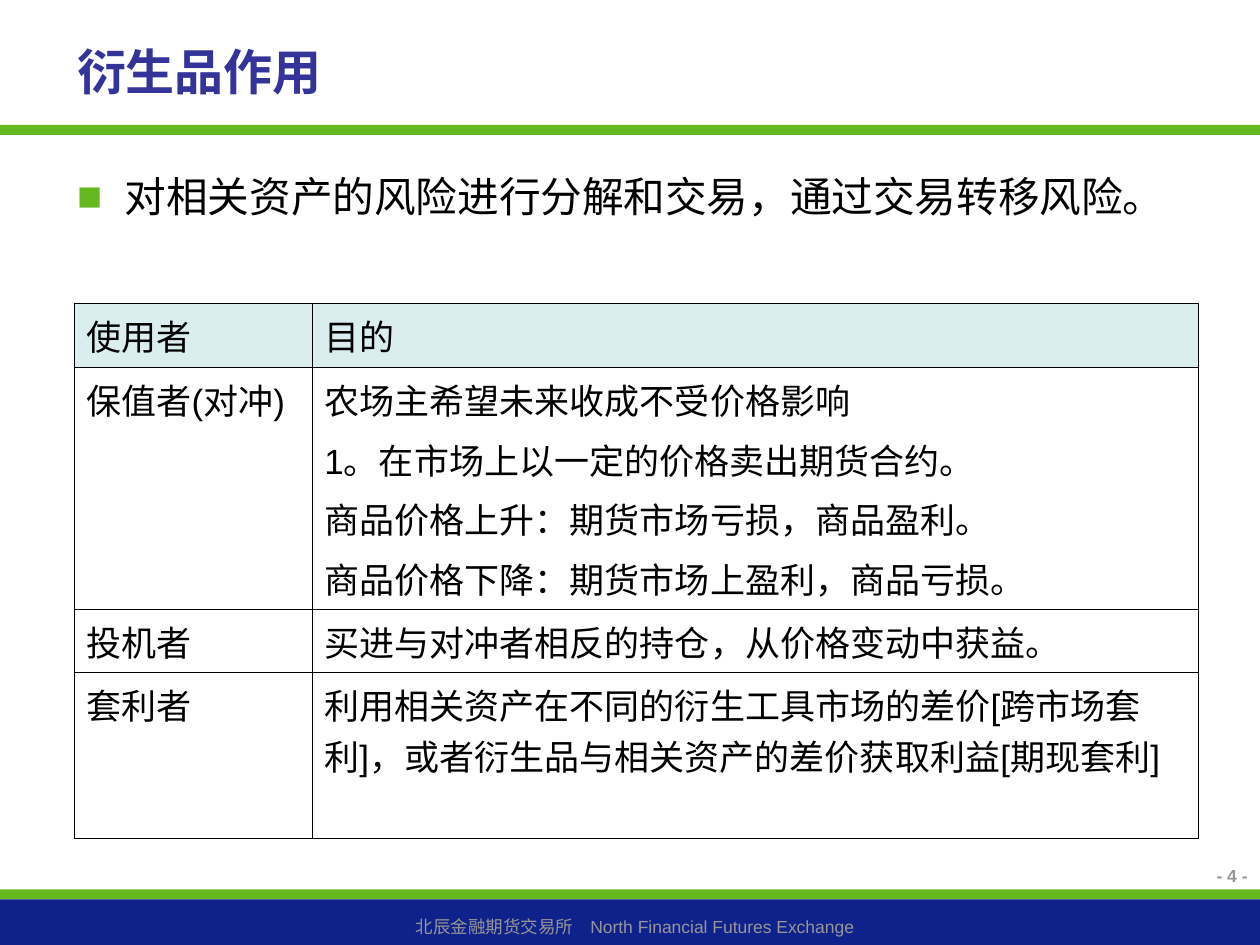
from dataclasses import dataclass

from lxml import etree
from pptx import Presentation
from pptx import util as u
from pptx.dml.color import RGBColor
from pptx.enum import shapes, text
from pptx.oxml.ns import qn


@dataclass(frozen=True)
class Theme:
    font: str = "Arial"
    green: str = "66B821"
    navy: str = "0F218B"
    heading: str = "333399"
    ink: str = "000000"
    muted: str = "969696"
    header_fill: str = "DAEDEF"
    title_size: float = 28
    body_size: float = 23.8
    table_size: float = 20
    small_size: float = 10
    outer_line: float = 1.08
    inner_line: float = 0.45


THEME = Theme()

USES = [
    ("使用者", "目的"),
    ("保值者(对冲)",
     "农场主希望未来收成不受价格影响\n"
     "1。在市场上以一定的价格卖出期货合约。\n"
     "商品价格上升：期货市场亏损，商品盈利。\n"
     "商品价格下降：期货市场上盈利，商品亏损。"),
    ("投机者", "买进与对冲者相反的持仓，从价格变动中获益。"),
    ("套利者",
     "利用相关资产在不同的衍生工具市场的差价[跨市场套利]，"
     "或者衍生品与相关资产的差价获取利益[期现套利]"),
]


def place(shape, left, top, width, height):
    shape.left, shape.top = u.Cm(left), u.Cm(top)
    shape.width, shape.height = u.Cm(width), u.Cm(height)


def write(frame, words, size, color, bold=False,
          align=text.PP_ALIGN.LEFT, gap=0):
    frame.text = words
    for index, paragraph in enumerate(frame.paragraphs):
        paragraph.alignment = align
        paragraph.space_before = u.Pt(gap if index else 0)
        for run in paragraph.runs:
            run.font.name = THEME.font
            run.font.size = u.Pt(size)
            run.font.bold = bold
            run.font.color.rgb = RGBColor.from_string(color)


def add_band(slide, top, height, color):
    band = slide.shapes.add_shape(
        shapes.MSO_SHAPE.RECTANGLE, 0, u.Cm(top), u.Cm(25.4), u.Cm(height))
    band.shadow.inherit = False
    band.fill.solid()
    band.fill.fore_color.rgb = RGBColor.from_string(color)
    band.line.fill.background()


def add_small_text(slide, words, box, align, bold=False):
    label = slide.shapes.add_textbox(*map(u.Cm, box))
    label.text_frame.word_wrap = True
    write(label.text_frame, words, THEME.small_size, THEME.muted, bold, align)


def fill_title(slide, words):
    title = slide.shapes.title
    place(title, 1.3, 0.53, 17.6, 1.8)
    title.text_frame.auto_size = text.MSO_AUTO_SIZE.NONE
    title.text_frame.vertical_anchor = text.MSO_ANCHOR.MIDDLE
    write(title.text_frame, words, THEME.title_size, THEME.heading, bold=True)


def add_bullet(paragraph):
    props = paragraph._p.get_or_add_pPr()
    props.set("marL", str(u.Cm(0.96)))
    props.set("indent", str(-u.Cm(0.96)))
    color = etree.SubElement(props, qn("a:buClr"))
    etree.SubElement(color, qn("a:srgbClr"), val=THEME.green)
    etree.SubElement(props, qn("a:buFont"), typeface=THEME.font)
    etree.SubElement(props, qn("a:buChar"), char="■")


def fill_body(slide, words):
    body = slide.placeholders[1]
    place(body, 1.3, 3.32, 23.2, 2.44)
    body.text_frame.auto_size = text.MSO_AUTO_SIZE.NONE
    write(body.text_frame, words, THEME.body_size, THEME.ink)
    add_bullet(body.text_frame.paragraphs[0])


def set_borders(cell, outer_sides):
    props = cell._tc.get_or_add_tcPr()
    for side in "LRTB":
        weight = THEME.outer_line if side in outer_sides else THEME.inner_line
        line = etree.SubElement(props, qn(f"a:ln{side}"), w=str(u.Pt(weight)))
        fill = etree.SubElement(line, qn("a:solidFill"))
        etree.SubElement(fill, qn("a:srgbClr"), val=THEME.ink)


def add_uses_table(slide, rows):
    widths, heights = (4.8, 17.86), (1.29, 4.88, 1.27, 3.34)
    table = slide.shapes.add_table(
        len(rows), len(widths), u.Cm(1.5), u.Cm(6.12),
        u.Cm(sum(widths)), u.Cm(sum(heights))).table
    table.first_row = table.horz_banding = False
    for column, width in zip(table.columns, widths):
        column.width = u.Cm(width)
    for r, (row, height) in enumerate(zip(table.rows, heights)):
        row.height = u.Cm(height)
        for c, cell in enumerate(row.cells):
            write(cell.text_frame, rows[r][c], THEME.table_size, THEME.ink, gap=5)
            cell.margin_left = u.Cm(0.24)
            vertical = {0: "T", len(rows) - 1: "B"}.get(r, "")
            set_borders(cell, "LR"[c] + vertical)
            if r == 0:
                cell.fill.solid()
                cell.fill.fore_color.rgb = RGBColor.from_string(THEME.header_fill)
            else:
                cell.fill.background()


def main():
    deck = Presentation()
    deck.slide_width, deck.slide_height = u.Cm(25.4), u.Cm(19.05)
    slide = deck.slides.add_slide(deck.slide_layouts[1])
    add_band(slide, 17.93, 0.2, THEME.green)
    add_band(slide, 2.52, 0.2, THEME.green)
    add_band(slide, 18.13, 0.92, THEME.navy)
    add_small_text(slide, "北辰金融期货交易所　North Financial Futures Exchange",
                   (0.2, 18.34, 25.2, 0.69), text.PP_ALIGN.CENTER)
    add_small_text(slide, "- 4 -", (20.4, 17.32, 5, 0.91),
                   text.PP_ALIGN.RIGHT, bold=True)
    fill_title(slide, "衍生品作用")
    fill_body(slide, "对相关资产的风险进行分解和交易，通过交易转移风险。")
    add_uses_table(slide, USES)
    deck.save("out.pptx")


if __name__ == "__main__":
    main()
